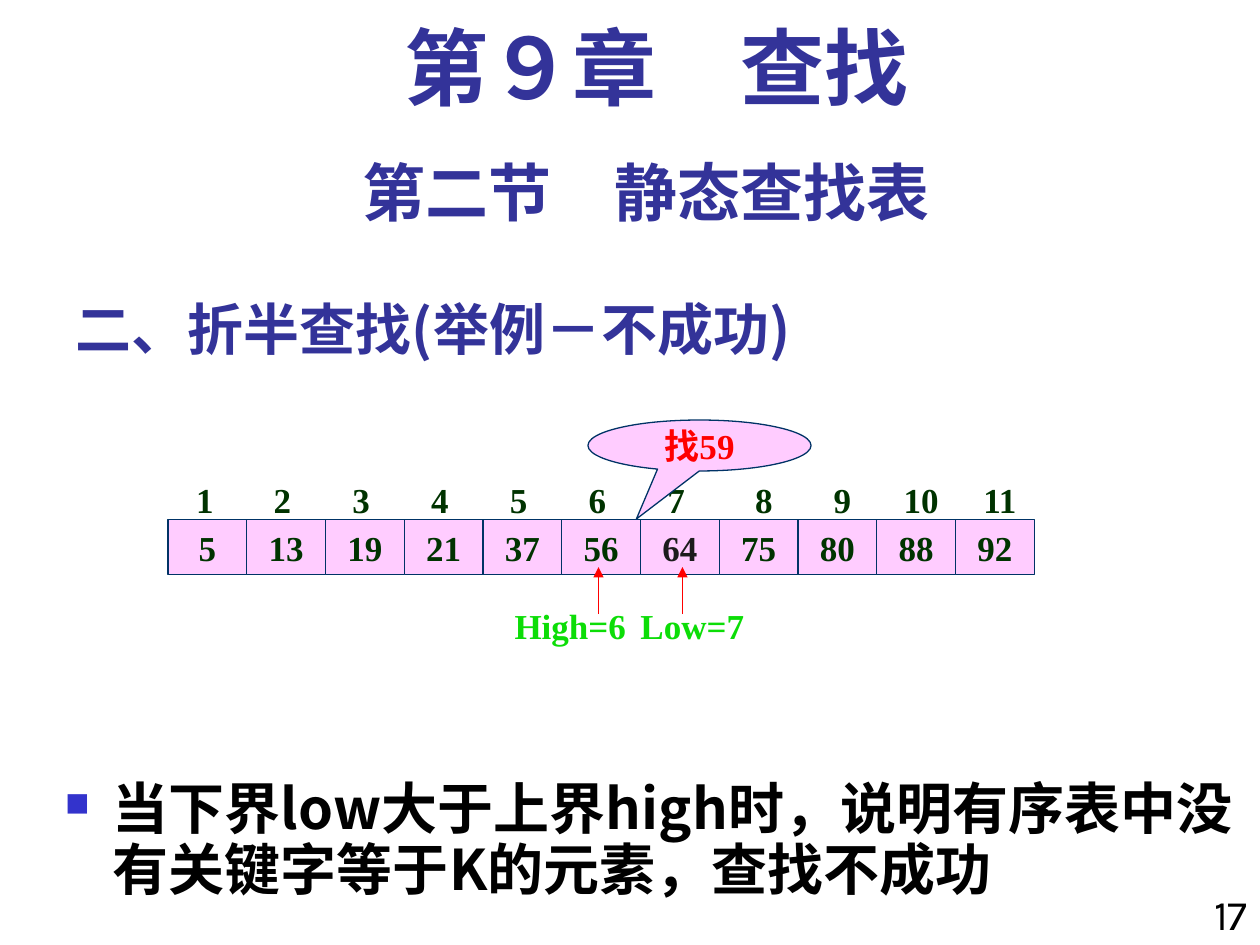
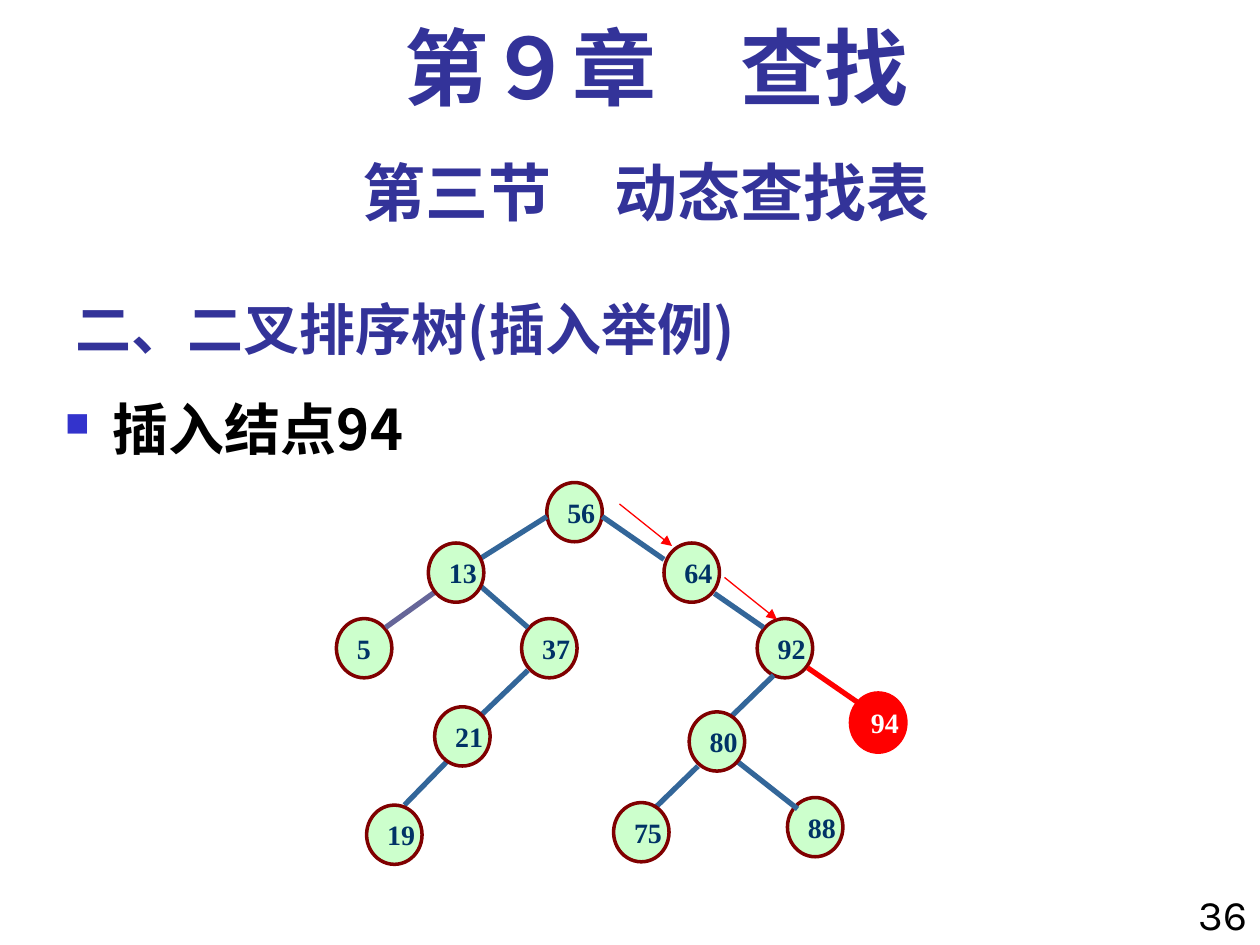
from lxml import etree
from pptx import Presentation
from pptx.dml.color import RGBColor
from pptx.enum.shapes import MSO_CONNECTOR, MSO_SHAPE
from pptx.enum.text import MSO_ANCHOR, PP_ALIGN
from pptx.oxml.ns import qn
from pptx.util import Inches, Pt

LEFT, MID, RIGHT = PP_ALIGN.LEFT, PP_ALIGN.CENTER, PP_ALIGN.RIGHT
TOP, CORE, BASE = MSO_ANCHOR.TOP, MSO_ANCHOR.MIDDLE, MSO_ANCHOR.BOTTOM
RECT, OVAL = MSO_SHAPE.RECTANGLE, MSO_SHAPE.OVAL
BUBBLE = MSO_SHAPE.OVAL_CALLOUT
STRAIGHT = MSO_CONNECTOR.STRAIGHT

WIDE, HIGH = Inches(10), Inches(7.5)
COLS, ROWS = 120, 90  # square cells, twelve to the inch
SANS, SERIF, PLAIN = "Noto Sans CJK SC", "Times New Roman", "Karla"

HUES = {
    "head": "333399", "text": "000000", "mark": "3333CC",
    "pink": "FFCCFF", "navy": "003366", "moss": "003300", "coal": "1C1C1C",
    "lime": "0CDD07", "red": "FF0000", "white": "FFFFFF",
    "mint": "CCFFCC", "wine": "800000", "steel": "336699", "plum": "666699",
}

# Text styles: size, colour, font, bold
STYLES = {
    "chapter": (48, "head", SERIF, True),
    "section": (36, "head", PLAIN, True),
    "topic": (32, "head", SANS, True),
    "point": (32, "text", SANS, True),
    "page": (24, "text", PLAIN, False),
    "key": (20, "moss", SERIF, True),
    "node": (16, "navy", SERIF, True),
}


def hue(name):
    return RGBColor.from_string(HUES[name])


def add(parent, tag, **attrs):
    return etree.SubElement(parent, qn(tag), attrs)


class Deck:
    def __init__(self):
        self.prs = Presentation()
        self.prs.slide_width, self.prs.slide_height = WIDE, HIGH
        self.slide = None

    def cells(self, *spans):
        """Turn alternating columns and rows into lengths."""
        units = (WIDE / COLS, HIGH / ROWS)
        return [round(n * units[i % 2]) for i, n in enumerate(spans)]

    def letter(self, shape, text, style, color=None, anchor=TOP, wrap=True,
               pad=0.1, mark=False, tabs=(), **form):
        frame = shape.text_frame
        rules = {"word_wrap": wrap, "vertical_anchor": anchor,
                 "margin_left": Inches(pad), "margin_right": Inches(pad),
                 "margin_top": Inches(0.05), "margin_bottom": Inches(0.05)}
        for name, value in rules.items():
            setattr(frame, name, value)
        para = frame.paragraphs[0]
        for name, value in {"alignment": LEFT, **form}.items():
            setattr(para, name, value)
        props = para._p.get_or_add_pPr()
        if mark:
            hang = Inches(0.38)
            props.set("marL", str(hang))
            props.set("indent", str(-hang))
            add(add(props, "a:buClr"), "a:srgbClr", val=HUES["mark"])
            add(props, "a:buSzPct", val="60000")
            add(props, "a:buChar", char="■")
        if tabs:
            stops = add(props, "a:tabLst")
            for stop in tabs:
                add(stops, "a:tab", pos=str(Inches(stop)), algn="ctr")
        size, ink, face, bold = STYLES[style]
        run = para.add_run()
        run.text = text
        for name, value in {"size": Pt(size), "name": face, "bold": bold}.items():
            setattr(run.font, name, value)
        run.font.color.rgb = hue(color or ink)
        add(run._r.get_or_add_rPr(), "a:ea", typeface=SANS)

    def label(self, box, text, style, **form):
        shape = self.slide.shapes.add_textbox(*self.cells(*box))
        self.letter(shape, text, style, **form)

    def shape(self, kind, box, text, style, fill, edge, width, **form):
        shape = self.slide.shapes.add_shape(kind, *self.cells(*box))
        shape.shadow.inherit = False
        shape.fill.solid()
        shape.fill.fore_color.rgb = hue(fill)
        shape.line.color.rgb = hue(edge)
        shape.line.width = Pt(width)
        self.letter(shape, text, style, anchor=CORE, wrap=False, **form)
        return shape

    def line(self, ends, color, width, arrow=False):
        line = self.slide.shapes.add_connector(STRAIGHT, *self.cells(*ends))
        line.line.color.rgb = hue(color)
        line.line.width = Pt(width)
        props = line._element.spPr
        if arrow:
            add(props.find(qn("a:ln")), "a:tailEnd", type="triangle")
        add(props, "a:effectLst")

    def node(self, key, spot, fill="mint", edge="wine", color="navy"):
        self.shape(OVAL, (*spot, 5.28, 5.64), str(key), "node", fill, edge, 2,
                   color=color)

    def page(self, section, topic, number):
        """Start a slide with its headings and page number."""
        self.slide = self.prs.slides.add_slide(self.prs.slide_layouts[6])
        self.label((6, 26, 75, 9), topic, "topic", anchor=BASE)
        self.label((112, 84, 8, 7.08), str(number), "page", alignment=RIGHT)
        self.label((6, 14, 111, 8.4), section, "section", alignment=MID)
        self.label((8, 2, 109, 10), "第９章　查找", "chapter",
                   alignment=MID, line_spacing=0.9)

    def point(self, top, text, **form):
        self.label((5, top, 115, ROWS - top), text, "point", mark=True, **form)


def search(deck):
    deck.page("第二节　静态查找表", "二、折半查找(举例－不成功)", 17)
    deck.point(73.8, "当下界low大于上界high时，说明有序表中没有关键字等于K的元素，查找不成功",
               line_spacing=0.9)

    # Sorted table with its index row
    keys = [5, 13, 19, 21, 37, 56, 64, 75, 80, 88, 92]
    tabs = [0.06 + 0.625 * i + (0.07 if i > 6 else 0)
            for i in range(1, len(keys))]
    count = "\t".join(str(i + 1) for i in range(len(keys)))
    deck.label((17.5, 45, 85, 5.28), count, "key", tabs=tabs)
    for i, key in enumerate(keys):
        deck.shape(RECT, (16 + 7.5 * i, 49.5, 7.5, 5.25), str(key), "key",
                   "pink", "navy", 0.75, alignment=MID,
                   color="coal" if key == 64 else "moss")

    # Bounds
    for text, left, width, tip in (("High=6", 49, 15, 57), ("Low=7", 61, 12, 65)):
        deck.line((tip, 58.5, tip, 54), "red", 1, arrow=True)
        deck.label((left, 57, width, 5.28), text, "key", color="lime", pad=0)

    # Wanted key
    call = deck.shape(BUBBLE, (56, 40, 21.25, 4.85), "找59", "key", "pink",
                      "navy", 0.75, color="red", alignment=MID)
    call.adjustments[0], call.adjustments[1] = -0.283, 1.444


def tree(deck):
    deck.page("第三节　动态查找表", "二、二叉排序树(插入举例)", 36)
    deck.point(37, "插入结点94")

    # Nodes below and above the branches
    under = {56: (52.08, 45.96), 64: (63.24, 51.72), 5: (32.04, 58.92),
             92: (72.12, 58.92), 37: (49.68, 58.92), 88: (75, 75.96)}
    over = {19: (34.92, 76.68), 80: (65.64, 67.8), 21: (41.4, 67.32),
            13: (40.8, 51.72), 75: (58.44, 76.44)}
    limbs = [
        (52.08, 49.2, 45.6, 53.28), (57.36, 49.2, 63.24, 53.28),
        (45.6, 55.68, 50.28, 59.76), (50.28, 63.84, 44.52, 69.36),
        (68.04, 56.52, 72.72, 59.76), (73.68, 64.32, 69.24, 68.64),
        (70.32, 72.6, 75.96, 77.04), (43.2, 71.88, 38.52, 76.68),
        (66.48, 72.96, 62.04, 77.28),
    ]
    for key, spot in under.items():
        deck.node(key, spot)
    deck.line((41.4, 56.4, 36.72, 59.76), "plum", 3)
    for ends in limbs:
        deck.line(ends, "steel", 3)
    for key, spot in over.items():
        deck.node(key, spot)

    # New node and the way to it
    deck.node(94, (81, 66), "red", "red", "white")
    deck.line((76.92, 63.6, 81.6, 66.84), "red", 3)
    for ends in ((59, 48, 64, 52), (69, 55, 74, 59)):
        deck.line(ends, "red", 0.75, arrow=True)


def main():
    deck = Deck()
    search(deck)
    tree(deck)
    deck.prs.save("out.pptx")


if __name__ == "__main__":
    main()
